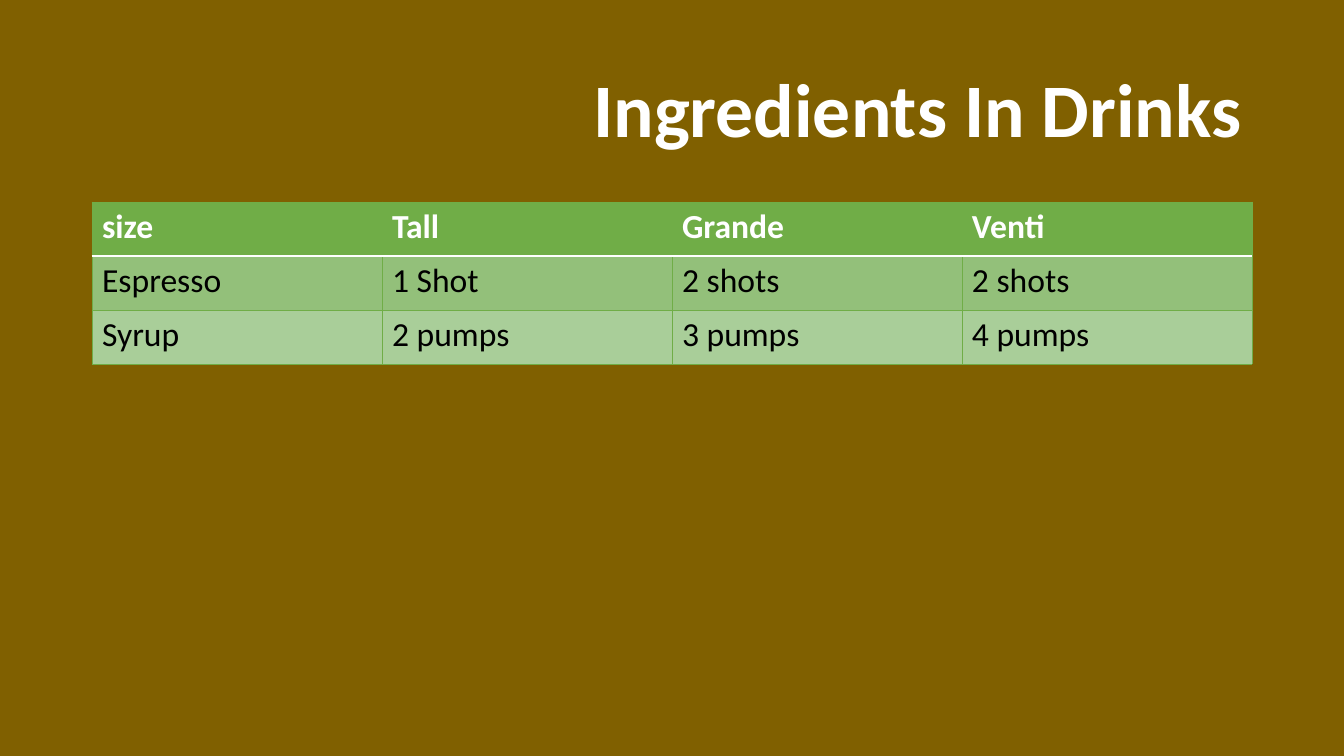
from lxml import etree
from pptx import Presentation
from pptx.dml.color import RGBColor
from pptx.enum.text import MSO_ANCHOR, PP_ALIGN
from pptx.oxml.ns import qn
from pptx.util import Pt

PX = 914400 / 100.8
RIGHT, LEFT = PP_ALIGN.RIGHT, PP_ALIGN.LEFT
MIDDLE = MSO_ANCHOR.MIDDLE
TITLE_ONLY = 5

BROWN, GREEN, WHITE, BLACK = "806000", "70AD47", "FFFFFF", "000000"
BODY_FILLS = ["93C07A", "A9CE99"]
LEFT_EDGE, CONTENT_WIDTH = 92, 1160
ROW_HEIGHT = 54
DRINKS = [
    ["size", "Tall", "Grande", "Venti"],
    ["Espresso", "1 Shot", "2 shots", "2 shots"],
    ["Syrup", "2 pumps", "3 pumps", "4 pumps"],
]


def px(length):
    """Turn pixels into EMU."""
    return round(length * PX)


def color(value):
    """Turn a hex string into a colour."""
    return RGBColor.from_string(value)


def write(frame, text, size=24, fill=BLACK, bold=False, align=LEFT, spacing=1.0):
    """Put one formatted paragraph into a text frame."""
    para = frame.paragraphs[0]
    para.alignment = align
    para.line_spacing = spacing
    span = para.add_run()
    span.text = text
    span.font.name = "Calibri"
    span.font.size = Pt(size)
    span.font.bold = bold
    span.font.color.rgb = color(fill)


def set_borders(cell, edges):
    """Draw cell borders from (side, colour, points) entries in schema order."""
    properties = cell._tc.get_or_add_tcPr()
    for index, (side, line_color, points) in enumerate(edges):
        line = etree.Element(qn(f"a:ln{side}"), w=str(Pt(points)))
        solid = etree.SubElement(line, qn("a:solidFill"))
        etree.SubElement(solid, qn("a:srgbClr"), val=line_color)
        properties.insert(index, line)


def add_title(page, text):
    """Place and format the title."""
    box = page.shapes.title
    box.left, box.top = px(LEFT_EDGE), px(40)
    box.width, box.height = px(CONTENT_WIDTH), px(146)
    box.text_frame.vertical_anchor = MIDDLE
    write(box.text_frame, text, size=54, fill=WHITE, bold=True, align=RIGHT, spacing=0.9)


def add_drinks_table(page, rows):
    """Add the table with a green header and tinted body rows."""
    table = page.shapes.add_table(
        len(rows), len(rows[0]), px(LEFT_EDGE), px(202),
        px(CONTENT_WIDTH), px(ROW_HEIGHT * len(rows))).table
    thin, divider = (GREEN, 0.5), (WHITE, 1)
    for row_index, values in enumerate(rows):
        table.rows[row_index].height = px(ROW_HEIGHT)
        header = row_index == 0
        top = divider if row_index == 1 else thin
        bottom = divider if header else thin
        for column_index, value in enumerate(values):
            cell = table.cell(row_index, column_index)
            cell.fill.solid()
            cell.fill.fore_color.rgb = color(GREEN if header else BODY_FILLS[row_index - 1])
            set_borders(cell, [("L", *thin), ("R", *thin), ("T", *top), ("B", *bottom)])
            write(cell.text_frame, value, fill=WHITE if header else BLACK, bold=header)


def main():
    """Build and save the slide."""
    deck = Presentation()
    deck.slide_width, deck.slide_height = px(1344), px(756)
    page = deck.slides.add_slide(deck.slide_layouts[TITLE_ONLY])
    page.background.fill.solid()
    page.background.fill.fore_color.rgb = color(BROWN)
    add_title(page, "Ingredients In Drinks")
    add_drinks_table(page, DRINKS)
    deck.save("out.pptx")


if __name__ == "__main__":
    main()
